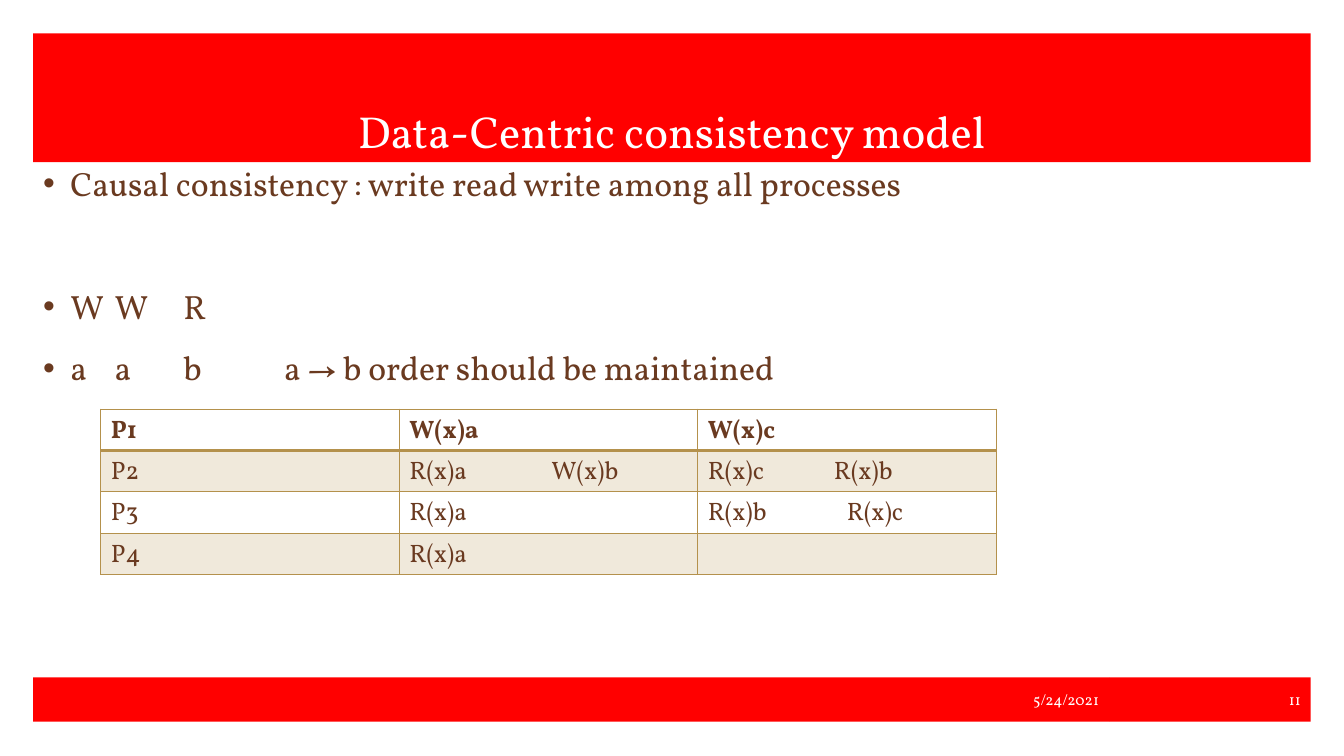
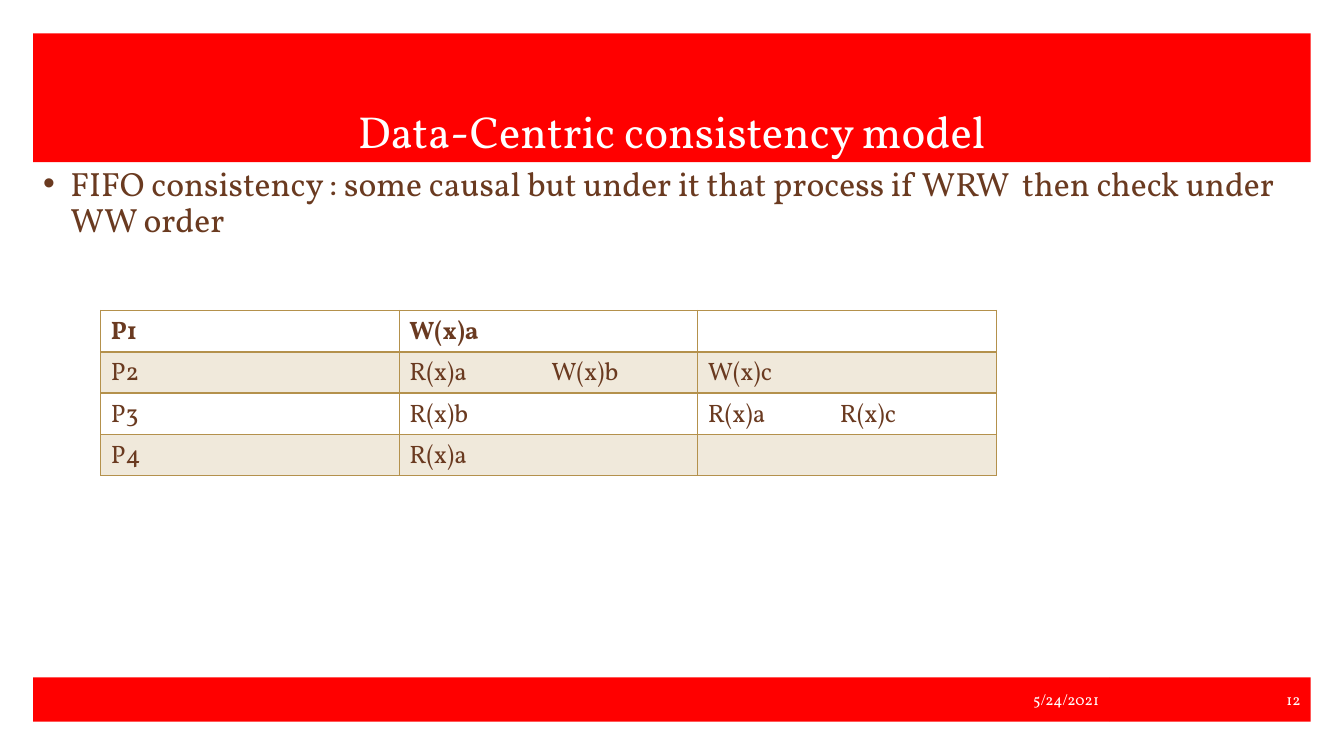
from pptx import Presentation
from pptx.dml.color import RGBColor
from pptx.enum.shapes import MSO_SHAPE as Shape
from pptx.enum.text import MSO_ANCHOR as Anchor, PP_ALIGN as Align
from pptx.oxml.ns import qn
from pptx.util import Inches, Pt
from lxml.etree import SubElement, Element

FONT = "Vollkorn"
RED, WHITE, BROWN, GOLD = "FF0000", "FFFFFF", "6A3A20", "B4914C"
TITLE_BOX = (0.33, 0.33, 12.67, 1.28)
BODY_BOX = (0.33, 1.61, 12.67, 5.03)
FOOTER_BOX = (0.33, 6.72, 12.67, 0.44)
NUMBER_WIDTH = 2
HANG = 0.27
COLUMN_WIDTH, ROW_HEIGHT = 2.96, 0.41
LETTER_STOPS = (0.71, 1.39, 2.39)

CAUSAL = {
    "bullets": [
        ("Causal consistency : write read write among all processes", 0, ()),
        ("W\tW\tR", 62, LETTER_STOPS),
        ("a\ta\tb\ta → b order should be maintained", 18, LETTER_STOPS),
    ],
    "top": 4.06,
    "rows": [
        [("P1",), ("W(x)a",), ("W(x)c",)],
        [("P2",), ("R(x)a\tW(x)b", 1.41), ("R(x)c\tR(x)b", 1.25)],
        [("P3",), ("R(x)a",), ("R(x)b\tR(x)c", 1.38)],
        [("P4",), ("R(x)a",), ("",)],
    ],
}
FIFO = {
    "bullets": [
        ("FIFO consistency : some causal but under it that process if WRW  then check under WW order", 0, ()),
    ],
    "top": 3.08,
    "rows": [
        [("P1",), ("W(x)a",), ("",)],
        [("P2",), ("R(x)a\tW(x)b", 1.41), ("W(x)c",)],
        [("P3",), ("R(x)b",), ("R(x)a\tR(x)c", 1.31)],
        [("P4",), ("R(x)a",), ("",)],
    ],
}


def rgb(value):
    """Turn a hex string into a colour."""
    return RGBColor.from_string(value)


def write(paragraph, text, size=18, color=BROWN, bold=False, align=Align.LEFT,
          before=0, spacing=None, bullet=None, stops=()):
    """Write text into a paragraph with the given format."""
    paragraph.alignment = align
    if before:
        paragraph.space_before = Pt(before)
    if spacing:
        paragraph.line_spacing = spacing
    props = paragraph._p.get_or_add_pPr()
    if bullet:
        props.set("marL", str(Inches(HANG)))
        props.set("indent", str(-Inches(HANG)))
        SubElement(SubElement(props, qn("a:buClr")), qn("a:srgbClr"), val=color)
        SubElement(props, qn("a:buFont"), typeface="Arial")
        SubElement(props, qn("a:buChar"), char=bullet)
    if stops:
        tabs = SubElement(props, qn("a:tabLst"))
        for stop in stops:
            SubElement(tabs, qn("a:tab"), pos=str(Inches(stop)), algn="l")
    if text:
        run = paragraph.add_run()
        run.text = text
        run.font.name, run.font.size, run.font.bold = FONT, Pt(size), bold
        run.font.color.rgb = rgb(color)


def add_band(slide, box, text, size, align, anchor):
    """Add a red band with white text."""
    band = slide.shapes.add_shape(Shape.RECTANGLE, *map(Inches, box))
    band.shadow.inherit = False
    band.fill.solid()
    band.fill.fore_color.rgb = rgb(RED)
    band.line.fill.background()
    band.text_frame.word_wrap = True
    band.text_frame.vertical_anchor = anchor
    write(band.text_frame.paragraphs[0], text, size=size, color=WHITE, align=align)


def add_footer(slide, box, date, number):
    """Add the date band and the slide number band side by side."""
    left, top, width, height = box
    date_width = width - NUMBER_WIDTH
    add_band(slide, (left, top, date_width, height), date, 11, Align.RIGHT, Anchor.MIDDLE)
    add_band(slide, (left + date_width, top, NUMBER_WIDTH, height), str(number), 11,
             Align.RIGHT, Anchor.MIDDLE)


def add_bullets(slide, box, bullets):
    """Add the bulleted body text."""
    frame = slide.shapes.add_textbox(*map(Inches, box)).text_frame
    frame.word_wrap = True
    for index, (text, before, stops) in enumerate(bullets):
        paragraph = frame.add_paragraph() if index else frame.paragraphs[0]
        write(paragraph, text, size=24, before=before, spacing=0.9, bullet="•", stops=stops)


def style_cell(cell, row):
    """Give a cell its banded fill and gold borders."""
    if row % 2:
        cell.fill.solid()
        cell.fill.fore_color.rgb = rgb(GOLD)
        tint = cell._tc.tcPr.find(".//" + qn("a:srgbClr"))
        SubElement(tint, qn("a:alpha"), val="20000")
    else:
        cell.fill.background()
    widths = {"L": 1, "R": 1, "T": 2 if row == 1 else 1, "B": 2 if row == 0 else 1}
    for position, (side, width) in enumerate(widths.items()):
        border = Element(qn("a:ln" + side), w=str(Pt(width)))
        SubElement(SubElement(border, qn("a:solidFill")), qn("a:srgbClr"), val=GOLD)
        cell._tc.tcPr.insert(position, border)


def add_process_table(slide, left, top, rows):
    """Add the table of reads and writes by process."""
    columns = len(rows[0])
    table = slide.shapes.add_table(
        len(rows), columns, Inches(left), Inches(top),
        Inches(COLUMN_WIDTH * columns), Inches(ROW_HEIGHT * len(rows))).table
    table.first_row = table.horz_banding = False
    for column in table.columns:
        column.width = Inches(COLUMN_WIDTH)
    for row, entries in enumerate(rows):
        table.rows[row].height = Inches(ROW_HEIGHT)
        for column, (text, *stops) in enumerate(entries):
            cell = table.cell(row, column)
            style_cell(cell, row)
            write(cell.text_frame.paragraphs[0], text, bold=row == 0, stops=stops)


def add_model_slide(deck, number, model):
    """Add one consistency model slide."""
    slide = deck.slides.add_slide(deck.slide_layouts[6])
    add_band(slide, TITLE_BOX, "Data-Centric consistency model", 32, Align.CENTER, Anchor.BOTTOM)
    add_footer(slide, FOOTER_BOX, "5/24/2021", number)
    add_bullets(slide, BODY_BOX, model["bullets"])
    add_process_table(slide, 1, model["top"], model["rows"])


def main():
    """Build and save the deck."""
    deck = Presentation()
    deck.slide_width, deck.slide_height = Inches(13.33), Inches(7.5)
    for number, model in enumerate((CAUSAL, FIFO), start=11):
        add_model_slide(deck, number, model)
    deck.save("out.pptx")


if __name__ == "__main__":
    main()
